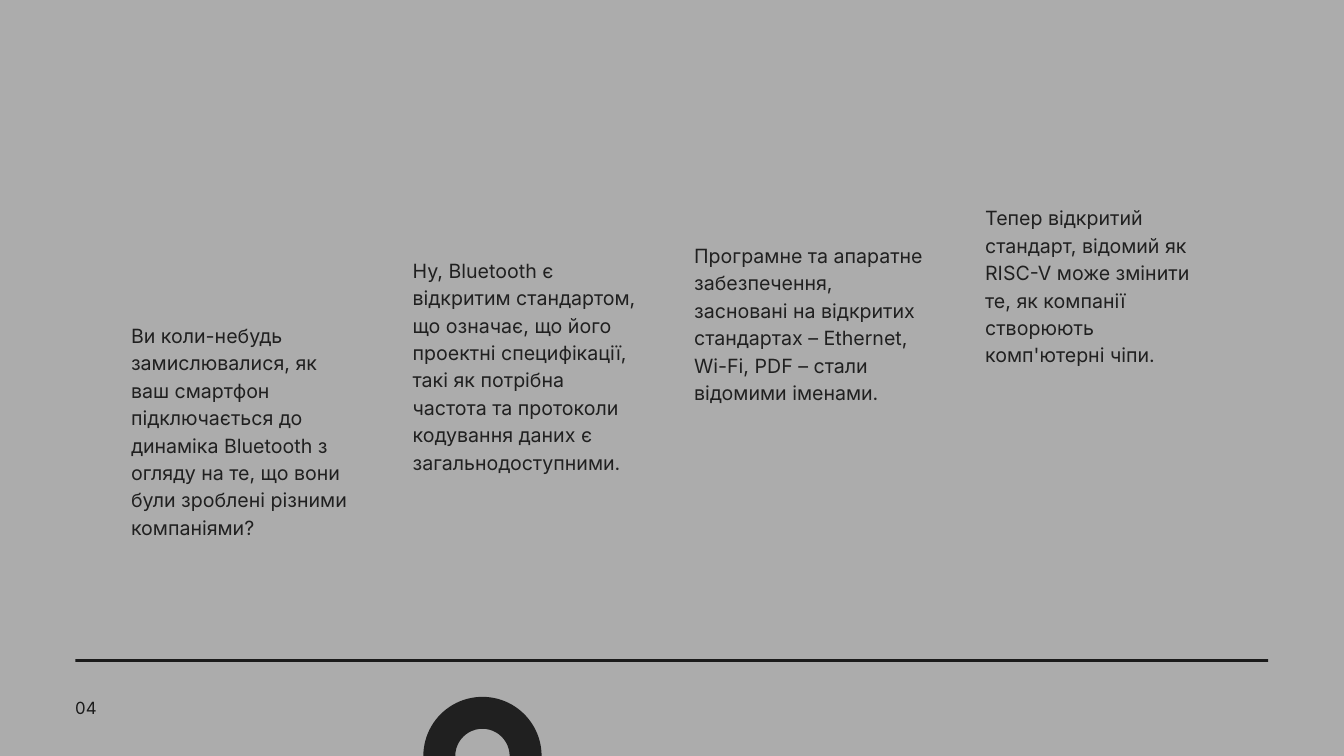
from pptx import Presentation
from pptx.dml.color import RGBColor
from pptx.enum.shapes import MSO_SHAPE as Shape
from pptx.enum.text import MSO_AUTO_SIZE as Fit
from pptx.util import Inches, Pt

FONT = "Inter"
GREY, INK, BLACK = "ACACAC", "202020", "1B1B1B"
LEADING = 1.4

# left, top, width, height, text
COLUMNS = [
    (1.95, 4.76, 3.39, 3.23,
     "Ви коли-небудь замислювалися, як ваш смартфон підключається до "
     "динаміка Bluetooth з огляду на те, що вони були зроблені різними "
     "компаніями?"),
    (6.14, 3.79, 3.39, 3.23,
     "Ну, Bluetooth є відкритим стандартом, що означає, що його проектні "
     "специфікації, такі як потрібна частота та протоколи кодування даних "
     "є загальнодоступними."),
    (10.33, 3.57, 3.53, 2.42,
     "Програмне та апаратне забезпечення, засновані на відкритих "
     "стандартах – Ethernet, Wi-Fi, PDF – стали відомими іменами."),
    (14.66, 3.01, 3.39, 2.42,
     "Тепер відкритий стандарт, відомий як RISC-V може змінити те, як "
     "компанії створюють комп'ютерні чіпи."),
]


def paint(fill, color):
    fill.solid()
    fill.fore_color.rgb = RGBColor.from_string(color)


def write(frame, text, size=21, color=INK, font=FONT):
    para = frame.paragraphs[0]
    para.line_spacing = Pt(size * LEADING)
    run = para.add_run()
    run.text = text
    run.font.size = Pt(size)
    run.font.name = font
    run.font.color.rgb = RGBColor.from_string(color)


class Page:
    """Holds the current slide and draws its elements in one style."""

    def __init__(self, deck):
        self.slide = deck.slides.add_slide(deck.slide_layouts[6])
        paint(self.slide.background.fill, GREY)

    def text(self, box, words, **style):
        frame = self.slide.shapes.add_textbox(*map(Inches, box)).text_frame
        frame.word_wrap = True
        frame.auto_size = Fit.SHAPE_TO_FIT_TEXT
        frame.margin_left = frame.margin_right = 0
        frame.margin_top = frame.margin_bottom = 0
        write(frame, words, **style)

    def shape(self, kind, box, color):
        shape = self.slide.shapes.add_shape(kind, *map(Inches, box))
        shape.shadow.inherit = False
        shape.line.fill.background()
        paint(shape.fill, color)
        return shape

    def ring(self, box, band, color):
        """Draw a ring whose band is a share of its diameter."""
        self.shape(Shape.DONUT, box, color).adjustments[0] = band


def main():
    deck = Presentation()
    deck.slide_width, deck.slide_height = Inches(20), Inches(11.25)
    page = Page(deck)
    for *box, words in COLUMNS:
        page.text(box, words)
    page.shape(Shape.RECTANGLE, (1.12, 9.81, 17.75, 0.04), BLACK)
    page.text((1.12, 10.34, 2.47, 0.34), "04", size=18, color=BLACK)
    page.ring((6.3, 10.37, 1.76, 1.76), 0.27, INK)
    deck.save("out.pptx")


if __name__ == "__main__":
    main()
